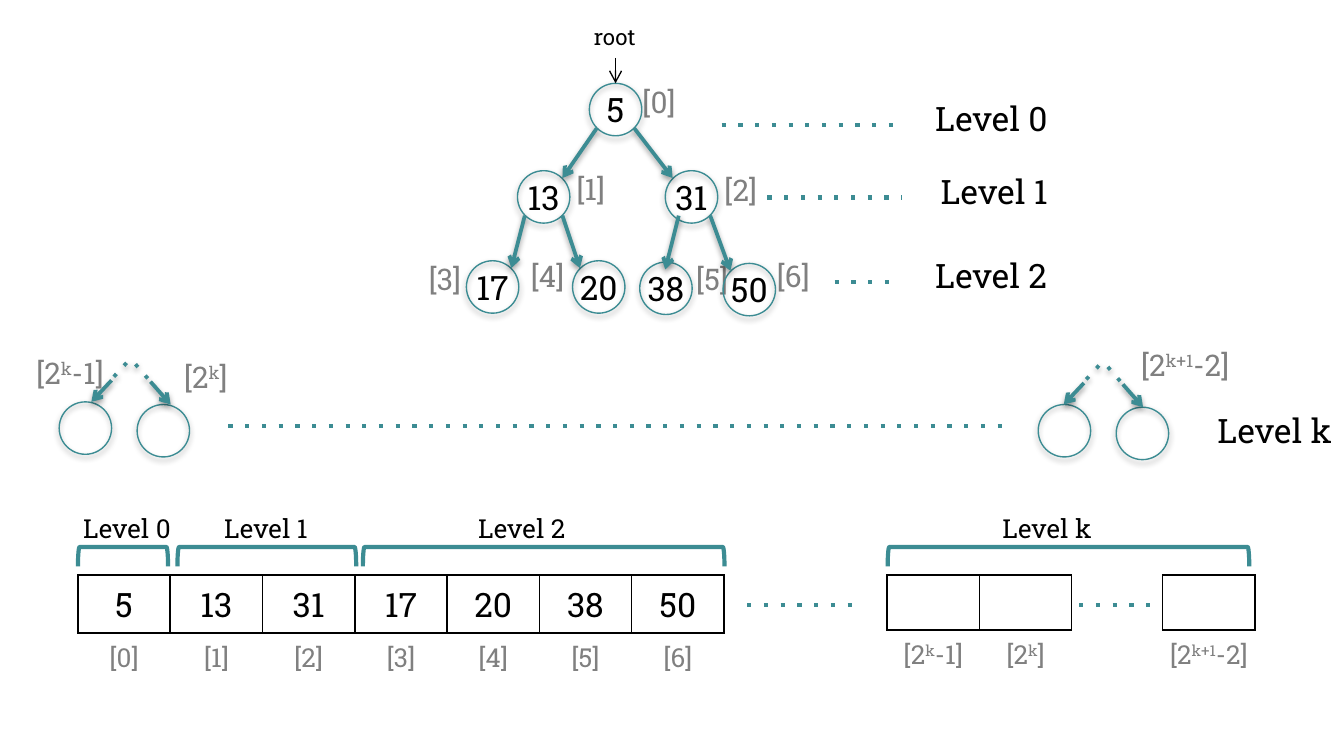
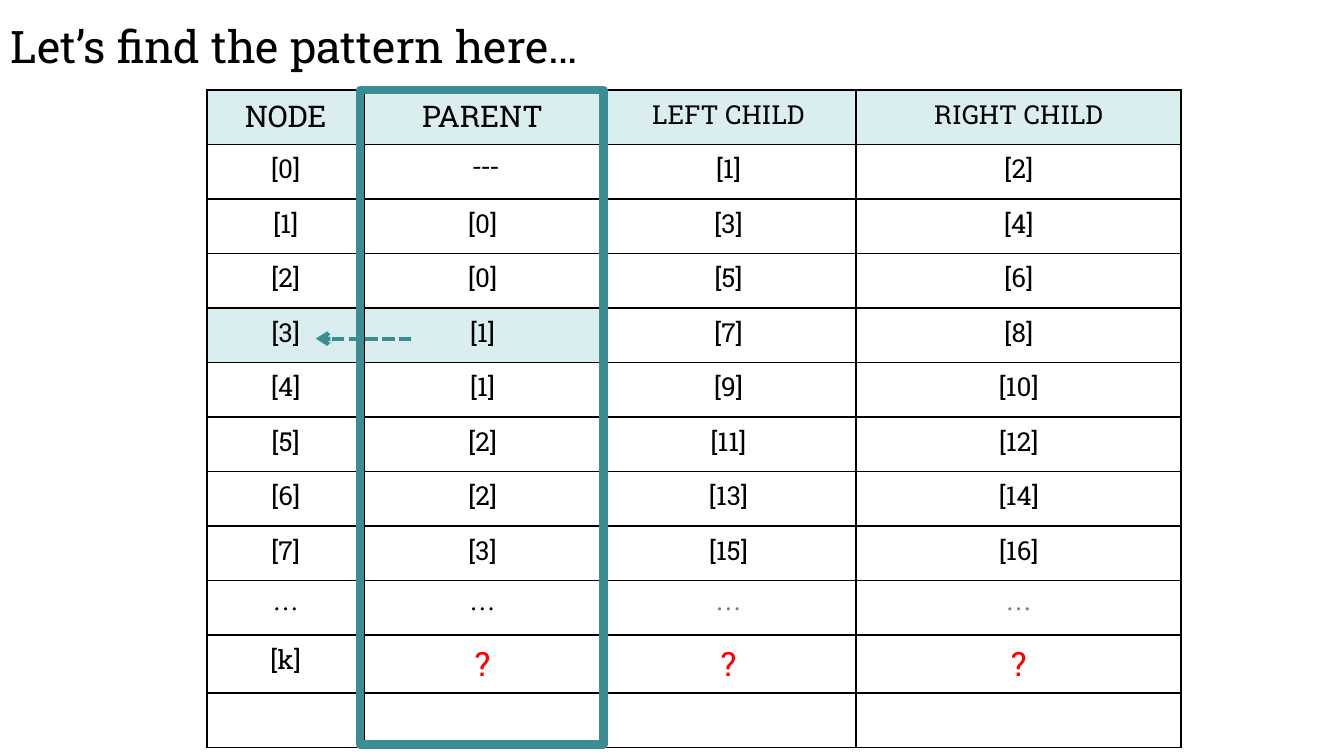
from dataclasses import dataclass

from lxml.etree import SubElement
from pptx import Presentation
from pptx.dml.color import RGBColor
from pptx.enum.shapes import MSO_CONNECTOR, MSO_SHAPE
from pptx.enum.text import MSO_AUTO_SIZE, PP_ALIGN
from pptx.oxml.ns import qn
from pptx.util import Inches, Pt

TEAL = RGBColor(0x3C, 0x8C, 0x93)
PALE_TEAL = RGBColor(0xDA, 0xED, 0xEF)
BLACK = RGBColor(0, 0, 0)
GREY = RGBColor(0x80, 0x80, 0x80)
MID_GREY = RGBColor(0x7F, 0x7F, 0x7F)
RED = RGBColor(0xFF, 0, 0)

SLAB = "Roboto Slab"
SERIF = "Times New Roman"

CELL = 0.1           # inches: the slide is a grid of 100 columns by 56.25 rows
COLUMNS, ROWS = 100, 56.25
NODE = 3.9           # diameter of a tree node
VALUE_WIDTH = 5.4    # room for a two-digit value and its margins
DIAGONAL = 1.4       # reach of a node's rim at 45 degrees
ARRAY_COLUMN, ARRAY_ROW = 6.87, 4.06


def grid(length):
    """Turn a number of grid columns or rows into a length."""
    return Inches(length * CELL)


@dataclass
class Box:
    """A region of the slide, in grid columns and rows."""
    left: float
    top: float
    width: float
    height: float

    def inner(self, left, top, width, height):
        """Return a box placed relative to this one."""
        return Box(self.left + left, self.top + top, width, height)

    def point(self, x, y):
        """Return a slide position given relative to this box."""
        return self.left + x, self.top + y

    def lengths(self):
        """Return left, top, width and height as lengths."""
        return [grid(n) for n in (self.left, self.top, self.width, self.height)]


@dataclass
class Style:
    """The look of a piece of text."""
    size: float
    color: RGBColor = BLACK
    font: str = SLAB


VALUE = Style(18)
CAPTION = Style(14)
NODE_INDEX = Style(16, GREY)
ARRAY_INDEX = Style(14, GREY)


def write(paragraph, text, style, align=PP_ALIGN.LEFT):
    """Add text run by run; parts between carets are superscript."""
    paragraph.alignment = align
    for number, part in enumerate(text.split("^")):
        run = paragraph.add_run()
        run.text = part
        run.font.size = Pt(style.size)
        run.font.name = style.font
        run.font.color.rgb = style.color
        if number % 2:
            run._r.get_or_add_rPr().set("baseline", "30000")


def add_text(slide, box, text, style, align=PP_ALIGN.LEFT):
    """Add a one-line text box."""
    frame = slide.shapes.add_textbox(*box.lengths()).text_frame
    frame.word_wrap = False
    frame.auto_size = MSO_AUTO_SIZE.SHAPE_TO_FIT_TEXT
    write(frame.paragraphs[0], text, style, align)


def set_shadow(shape, visible):
    """Give a shape a soft shadow below it, or none."""
    effects = SubElement(shape._element.spPr, qn("a:effectLst"))
    if visible:
        shadow = SubElement(effects, qn("a:outerShdw"), blurRad=str(Pt(3.1)),
                            dist=str(Pt(1.6)), dir="5400000", rotWithShape="0")
        color = SubElement(shadow, qn("a:srgbClr"), val="000000")
        SubElement(color, qn("a:alpha"), val="38000")


def add_line(slide, start, end, width=2.25, color=TEAL, dash=None, arrow=False, shadow=False):
    """Draw a straight line between two grid points."""
    line = slide.shapes.add_connector(
        MSO_CONNECTOR.STRAIGHT, *[grid(n) for n in (*start, *end)])
    line.line.color.rgb = color
    line.line.width = Pt(width)
    outline = line.line._get_or_add_ln()
    if dash:
        SubElement(outline, qn("a:prstDash"), val=dash)
    if arrow:
        SubElement(outline, qn("a:tailEnd"), type="arrow")
    set_shadow(line, shadow)


def add_outline(slide, kind, box, width, shadow=False):
    """Draw an unfilled preset shape with a teal outline."""
    shape = slide.shapes.add_shape(kind, *box.lengths())
    shape.fill.background()
    shape.line.color.rgb = TEAL
    shape.line.width = Pt(width)
    set_shadow(shape, shadow)
    return shape


def add_node(slide, center):
    """Draw one tree node around its centre."""
    x, y = center
    add_outline(slide, MSO_SHAPE.OVAL,
                Box(x - NODE / 2, y - NODE / 2, NODE, NODE), 0.75, shadow=True)


def add_bracket(slide, box, label, label_left, label_top):
    """Draw a bracket that opens downwards, with its label above."""
    upright = Box(box.left + (box.width - box.height) / 2,
                  box.top + (box.height - box.width) / 2, box.height, box.width)
    add_outline(slide, MSO_SHAPE.LEFT_BRACKET, upright, 2.25).rotation = 90
    add_text(slide, Box(label_left, label_top, 9, 3.4), label, CAPTION)


def set_borders(cell, sides):
    """Draw black borders on the named sides and clear the others."""
    properties = cell._tc.get_or_add_tcPr()
    for side in "LRTB":
        line = SubElement(properties, qn(f"a:ln{side}"), w=str(Pt(1)))
        if side in sides:
            fill = SubElement(line, qn("a:solidFill"))
            SubElement(fill, qn("a:srgbClr"), val=str(BLACK))
        else:
            SubElement(line, qn("a:noFill"))


def add_table(slide, box, widths, rows):
    """Add a plain table; each row is (borders, cells), each cell (text, style, fill)."""
    table = slide.shapes.add_table(len(rows), len(widths), *box.lengths()).table
    table.first_row = table.horz_banding = False
    for column, width in zip(table.columns, widths):
        column.width = grid(width)
    for index, (sides, cells) in enumerate(rows):
        table.rows[index].height = grid(box.height / len(rows))
        for cell, (text, style, fill) in zip(table.rows[index].cells, cells):
            set_borders(cell, sides)
            if fill:
                cell.fill.solid()
                cell.fill.fore_color.rgb = fill
            else:
                cell.fill.background()
            if text:
                write(cell.text_frame.paragraphs[0], text, style, PP_ALIGN.CENTER)
    return table


def draw_tree(slide, box):
    """Draw levels 0 to 2 of the tree with indexes and level names."""
    # value, node centre, left and top of the index label
    nodes = [("5", (15.8, 7.15), (16.8, 4.7)), ("13", (10.45, 13.65), (11.9, 11.2)),
             ("31", (21.45, 13.65), (22.9, 11.3)), ("17", (6.65, 20.35), (0.9, 17.9)),
             ("20", (14.55, 20.35), (8.5, 17.7)), ("38", (19.55, 20.45), (20.8, 17.9)),
             ("50", (25.75, 20.55), (26.8, 17.7))]
    shifts = {5: (0.45, -1.45)}      # keeps the crowded arrow to 38 clear
    for index, (_, _, (left, top)) in enumerate(nodes):
        add_text(slide, box.inner(left, top, 4.5, 3.7), f"[{index}]", NODE_INDEX)
    for index, (value, (x, y), _) in enumerate(nodes):
        add_node(slide, box.point(x, y))
        if index:
            parent_x, parent_y = nodes[(index - 1) // 2][1]
            reach = -DIAGONAL if index % 2 else DIAGONAL
            start_shift, end_shift = shifts.get(index, (0, 0))
            add_line(slide, box.point(parent_x + reach + start_shift, parent_y + DIAGONAL),
                     box.point(x - reach + end_shift, y - DIAGONAL),
                     width=2, arrow=True, shadow=True)
        add_text(slide, box.inner(x - VALUE_WIDTH / 2, y - 2, VALUE_WIDTH, 4),
                 value, VALUE, PP_ALIGN.CENTER)

    add_text(slide, box.inner(13.2, 0.2, 5.2, 3), "root", Style(12))
    add_line(slide, box.point(15.8, 3.3), box.point(15.8, 5.2),
             width=0.75, color=BLACK, arrow=True)

    levels = [(8.3, 23.7, 36.7, 38.6), (13.7, 27.1, 37.1, 39), (20, 32.1, 36.7, 38.6)]
    for level, (y, start, end, name_left) in enumerate(levels):
        add_line(slide, box.point(start, y), box.point(end, y), dash="dot")
        add_text(slide, box.inner(name_left, y - 2.5, 10.6, 4), f"Level {level}", VALUE)


def draw_leaf_pair(slide, box, shift=0):
    """Draw two leaves whose arrows come from an unseen parent at the box's top middle."""
    middle = box.width / 2
    for side, drop in ((-1, 0), (1, 0.2)):
        add_node(slide, box.point(middle + side * 2.9 + shift, 2.9 + drop + NODE / 2))
        for near, far, top, bottom, look in (
                (1.45, 2.95, 1.3, 2.9, {"arrow": True}), (0.33, 1.8, 0, 1.6, {"dash": "dot"})):
            add_line(slide, box.point(middle + side * near, top + drop / 2),
                     box.point(middle + side * far, bottom + drop),
                     width=2, shadow=True, **look)


def draw_last_level(slide, box):
    """Draw the first and last leaves of level k."""
    draw_leaf_pair(slide, box.inner(4.75, 2, 10, 7), shift=-0.5)
    draw_leaf_pair(slide, box.inner(77.1, 2.2, 10, 7))
    add_line(slide, box.point(17, 6.7), box.point(75.3, 6.7), dash="dot")
    for text, left, top, width in (("[2^k^-1]", 1.7, 0.9, 7.2), ("[2^k^]", 12.7, 1.2, 5.4),
                                   ("[2^k+1^-2]", 83.9, 0.3, 9)):
        add_text(slide, box.inner(left, top, width, 3.7), text, NODE_INDEX)
    add_text(slide, box.inner(89.6, 5, 10.6, 4), "Level k", VALUE)


def draw_array_part(slide, box, values, indexes):
    """Draw a run of array cells with their indexes underneath."""
    count = len(values)
    return add_table(
        slide, box.inner(0, 0, count * ARRAY_COLUMN, 2 * ARRAY_ROW), [ARRAY_COLUMN] * count,
        [("LRTB", [(value, VALUE, None) for value in values]),
         ("T", [(index, ARRAY_INDEX, None) for index in indexes])])


def draw_array(slide, box):
    """Draw the tree as an array, with brackets for the levels."""
    cells_top = 5.2
    values = ["5", "13", "31", "17", "20", "38", "50"]
    draw_array_part(slide, box.inner(0, cells_top, 0, 0), values,
                    [f"[{index}]" for index in range(len(values))])
    draw_array_part(slide, box.inner(60.2, cells_top, 0, 0), ["", ""], ["[2^k^-1]", "[2^k^]"])
    last = draw_array_part(slide, box.inner(80.7, cells_top, 0, 0), [""], ["[2^k+1^-2]"])
    last.cell(1, 0).margin_left = last.cell(1, 0).margin_right = 0

    for name, left, width, label_left in (("0", 0, 6.7, -0.6), ("1", 7.4, 13.3, 9.9),
                                          ("2", 21.2, 26.9, 28.8), ("k", 60.25, 26.9, 67.8)):
        add_bracket(slide, box.inner(left, 3.1, width, 1.45), f"Level {name}",
                    *box.point(label_left, 0))
    for start, end in ((49.8, 58.4), (74.5, 80.6)):
        add_line(slide, box.point(start, 7.4), box.point(end, 7.4), dash="dot")


def draw_pattern_table(slide, box):
    """Draw the table of parents and children, with the parent column framed."""
    widths = [11.7, 17.6, 19, 24.2]
    header = Style(16)
    dots, grey_dots = Style(14, font=SERIF), Style(14, MID_GREY, SERIF)
    unknown = ("?", Style(18, RED), None)
    rows = [[("NODE", header, PALE_TEAL), ("PARENT", header, PALE_TEAL),
             ("LEFT CHILD", CAPTION, PALE_TEAL), ("RIGHT CHILD", CAPTION, PALE_TEAL)]]
    for node in range(8):
        fill = PALE_TEAL if node == 3 else None
        parent = (f"[{(node - 1) // 2}]", CAPTION, fill) if node else (" ---", dots, fill)
        rows.append([(f"[{node}]", CAPTION, fill), parent,
                     (f"[{2 * node + 1}]", CAPTION, None), (f"[{2 * node + 2}]", CAPTION, None)])
    rows.append([("…", style, None) for style in (dots, dots, grey_dots, grey_dots)])
    rows.append([("[k]", CAPTION, None)] + [unknown] * 3)
    rows.append([("", CAPTION, None)] * 4)
    add_table(slide, box, widths, [("LRTB", cells) for cells in rows])

    add_outline(slide, MSO_SHAPE.RECTANGLE, box.inner(11.4, 0, 18.1, box.height), 4.5)
    add_line(slide, box.point(15.2, 18.5), box.point(8.1, 18.5), dash="sysDash", arrow=True)


def main():
    """Build both slides and save them."""
    presentation = Presentation()
    presentation.slide_width, presentation.slide_height = grid(COLUMNS), grid(ROWS)
    blank = presentation.slide_layouts[6]

    tree_slide = presentation.slides.add_slide(blank)
    draw_array(tree_slide, Box(5.8, 37.6, 87.6, 14))
    draw_last_level(tree_slide, Box(0, 25, COLUMNS, 10))
    draw_tree(tree_slide, Box(30, 1, 50, 23))

    pattern_slide = presentation.slides.add_slide(blank)
    draw_pattern_table(pattern_slide, Box(15.4, 6.7, 72.5, 48.7))
    add_text(pattern_slide, Box(-0.2, 0.9, 45.1, 5), "Let’s find the pattern here…", Style(24))

    presentation.save("out.pptx")


main()
